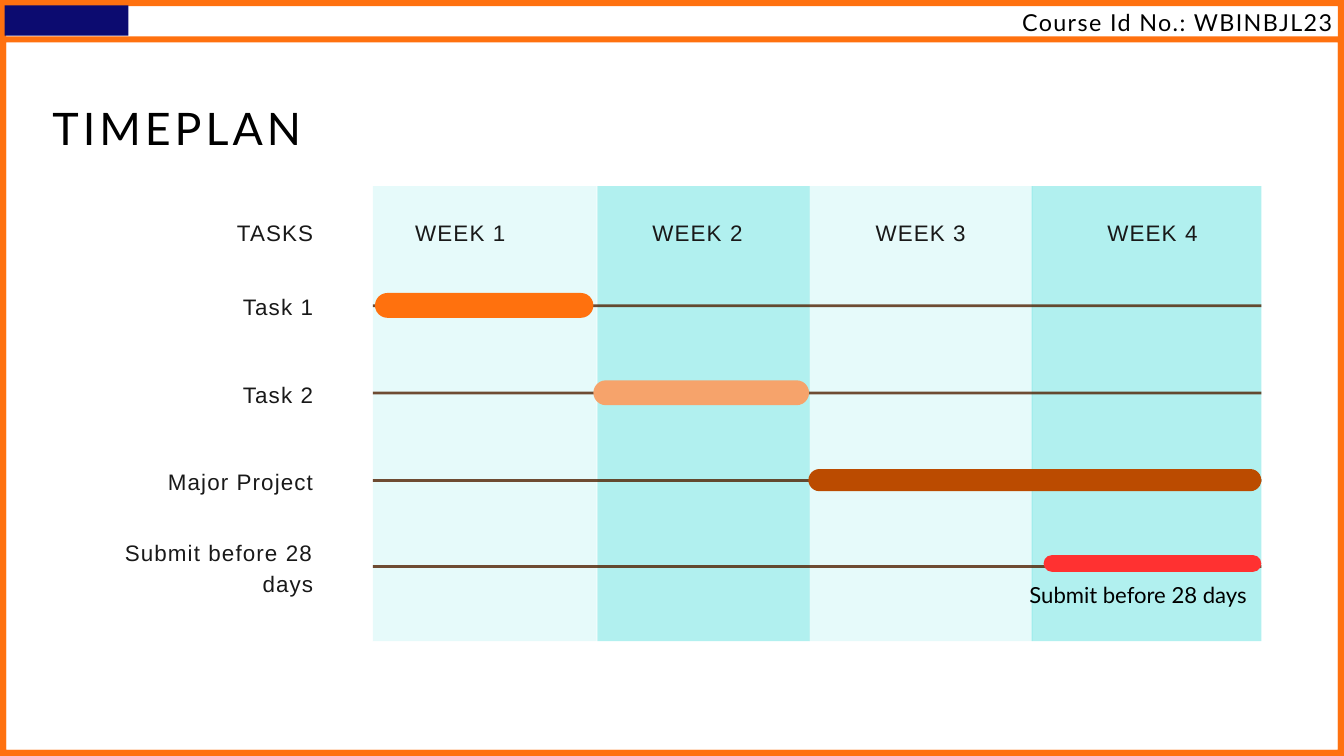
from lxml.etree import SubElement
from pptx import Presentation
from pptx.dml.color import RGBColor
from pptx.enum.shapes import MSO_SHAPE
from pptx.enum.text import PP_ALIGN
from pptx.oxml.ns import qn
from pptx.util import Pt

SCALE = 9144
ORANGE = "FF710F"
INK = "191919"
LEFT, WIDTH = 555, 1322
ROW, STEP = 453, 130


def px(*sizes):
    return [size * SCALE for size in sizes]


def paint(fill, code):
    fill.solid()
    fill.fore_color.rgb = RGBColor.from_string(code)


def block(slide, box, code, kind=MSO_SHAPE.RECTANGLE, bend=None, alpha=None):
    shape = slide.shapes.add_shape(kind, *px(*box))
    shape.shadow.inherit = False
    shape.line.fill.background()
    paint(shape.fill, code)
    if bend is not None:
        shape.adjustments[0] = bend
    if alpha is not None:
        color = shape._element.spPr.find(".//" + qn("a:srgbClr"))
        SubElement(color, qn("a:alpha")).set("val", str(alpha * 1000))


def frame(slide, top):
    high = 1125 - top
    block(slide, (0, top, 2000, high), ORANGE, MSO_SHAPE.FRAME, 9 / high)


def bar(slide, box, code):
    block(slide, box, code, MSO_SHAPE.ROUNDED_RECTANGLE, 0.5)


def label(slide, box, text, align=PP_ALIGN.RIGHT, size=24, lead=33.6,
          face="Arial", code=INK, gap=1.2):
    body = slide.shapes.add_textbox(*px(*box)).text_frame
    body.word_wrap = True
    body.margin_left = body.margin_right = 0
    body.margin_top = body.margin_bottom = 0
    para = body.paragraphs[0]
    para.alignment = align
    para.line_spacing = Pt(lead)
    para.font.size = Pt(size)
    para.font.name = face
    paint(para.font.fill, code)
    run = para.add_run()
    run.text = text
    if gap:
        run._r.get_or_add_rPr().set("spc", str(round(gap * 100)))


def header(slide):
    block(slide, (7, 8, 184, 45), "0C0B70")
    label(slide, (78, 136, 1900, 93), "TIMEPLAN", PP_ALIGN.LEFT, 48, 67.2,
          "Lato", "000000", 4.3)
    label(slide, (419, 5, 1564, 46), "Course Id No.: WBINBJL23", size=25,
          lead=35, face="Lato", code="000000", gap=1.5)


def weeks(slide):
    bands = [(555, 333, 555), (889, 316, 908), (1204, 333, 1240), (1535, 342, 1585)]
    for week, (left, wide, text) in enumerate(bands, 1):
        code, alpha = ("86EAE9", 20) if week % 2 else ("3EDAD8", 40)
        block(slide, (left, 277, wide, 677), code, alpha=alpha)
        label(slide, (text, 322, 260, 43), f"WEEK {week}", PP_ALIGN.CENTER, lead=31.2)


def tasks(slide):
    label(slide, (122, 322, 344, 43), "TASKS", lead=31.2)
    rows = [
        ("Task 1", 430, 45, (558, 436, 325, 37), "FF710E"),
        ("Task 2", 560, 45, (883, 566, 321, 37), "F6A36B"),
        ("Major Project", 690, 45, (1203, 698, 674, 33), "BB4B00"),
        ("Submit before 28 days", 795, 90, (1553, 826, 324, 25), "FF3131"),
    ]
    for row, (name, top, high, span, code) in enumerate(rows):
        line = min(ROW + row * STEP, 841)
        label(slide, (122, top, 344, high), name)
        block(slide, (LEFT, line, WIDTH, 4), "502000", alpha=80)
        bar(slide, span, code)
    label(slide, (1532, 859, 346, 46), "Submit before 28 days", PP_ALIGN.JUSTIFY,
          23.7, 33.2, "Lato", "000000", 0)


def main():
    deck = Presentation()
    deck.slide_width, deck.slide_height = px(2000, 1125)
    slide = deck.slides.add_slide(deck.slide_layouts[6])
    paint(slide.background.fill, "FFFFFF")
    frame(slide, 54)
    frame(slide, 0)
    header(slide)
    weeks(slide)
    tasks(slide)
    deck.save("out.pptx")


if __name__ == "__main__":
    main()
